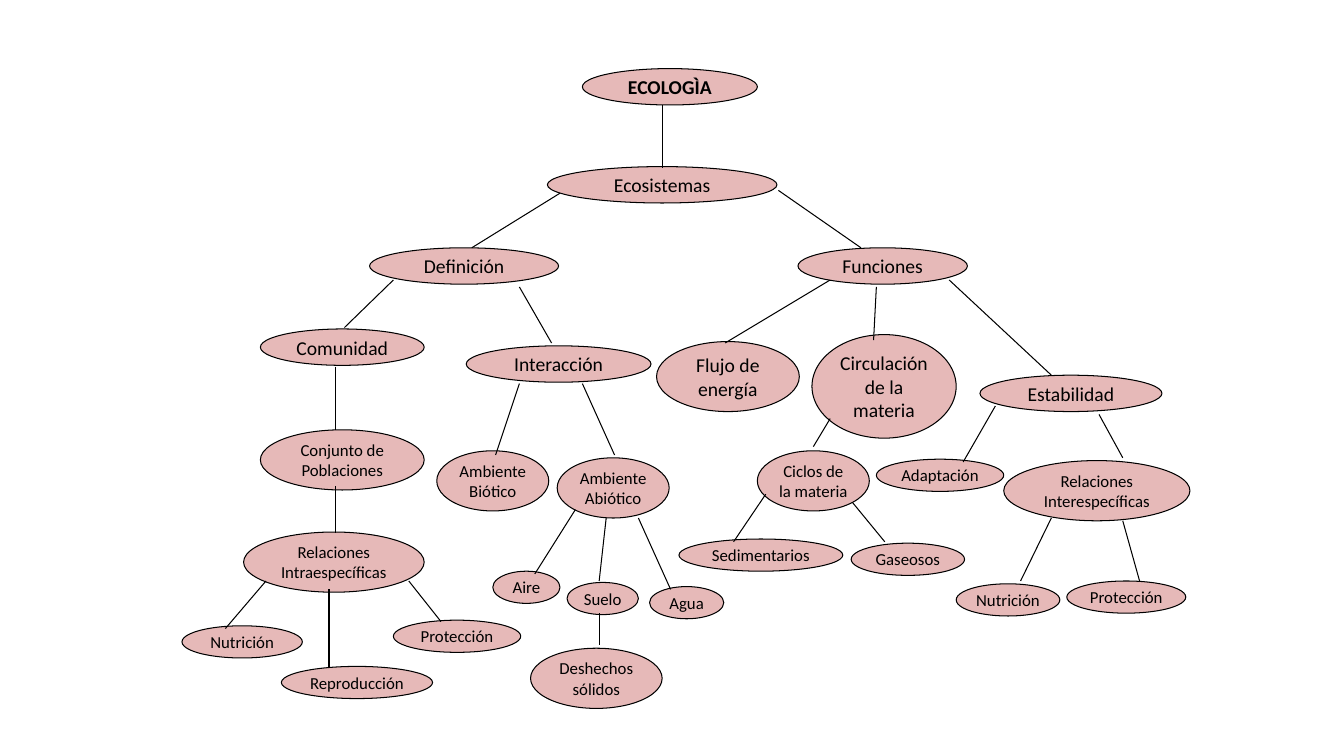
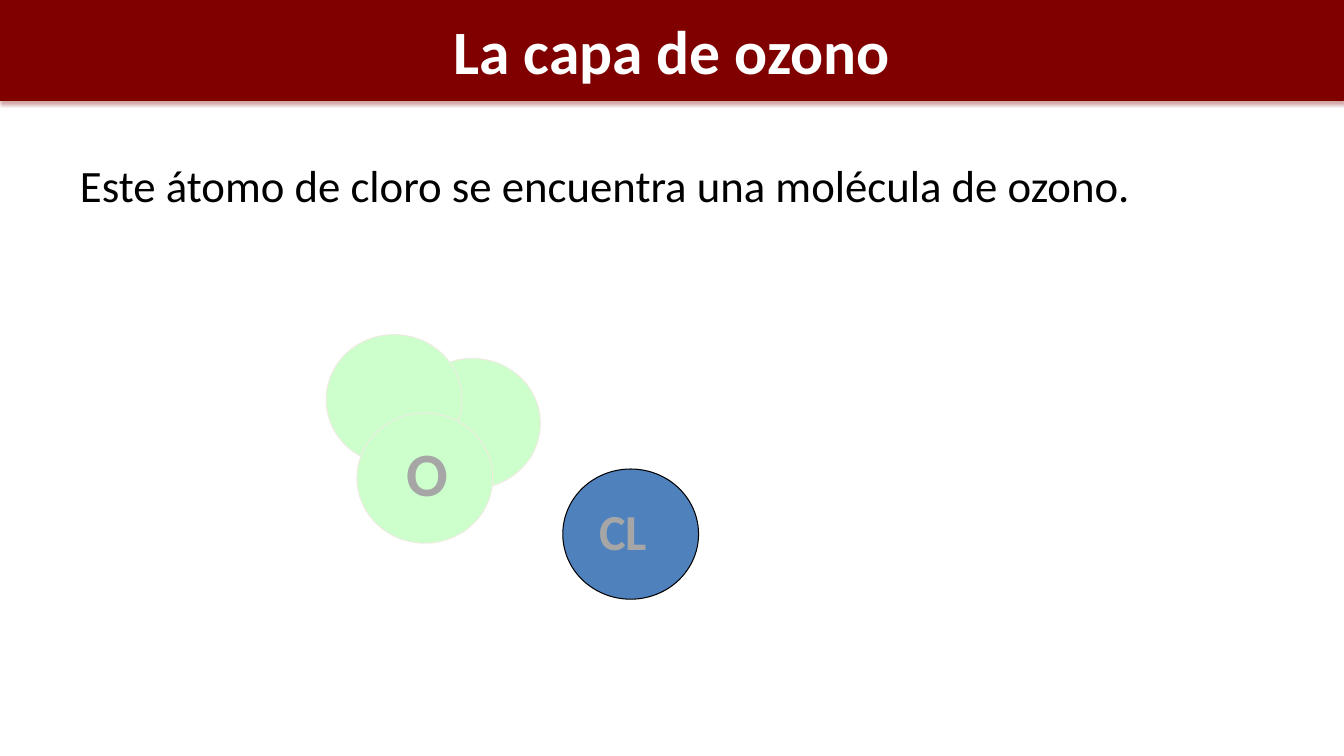
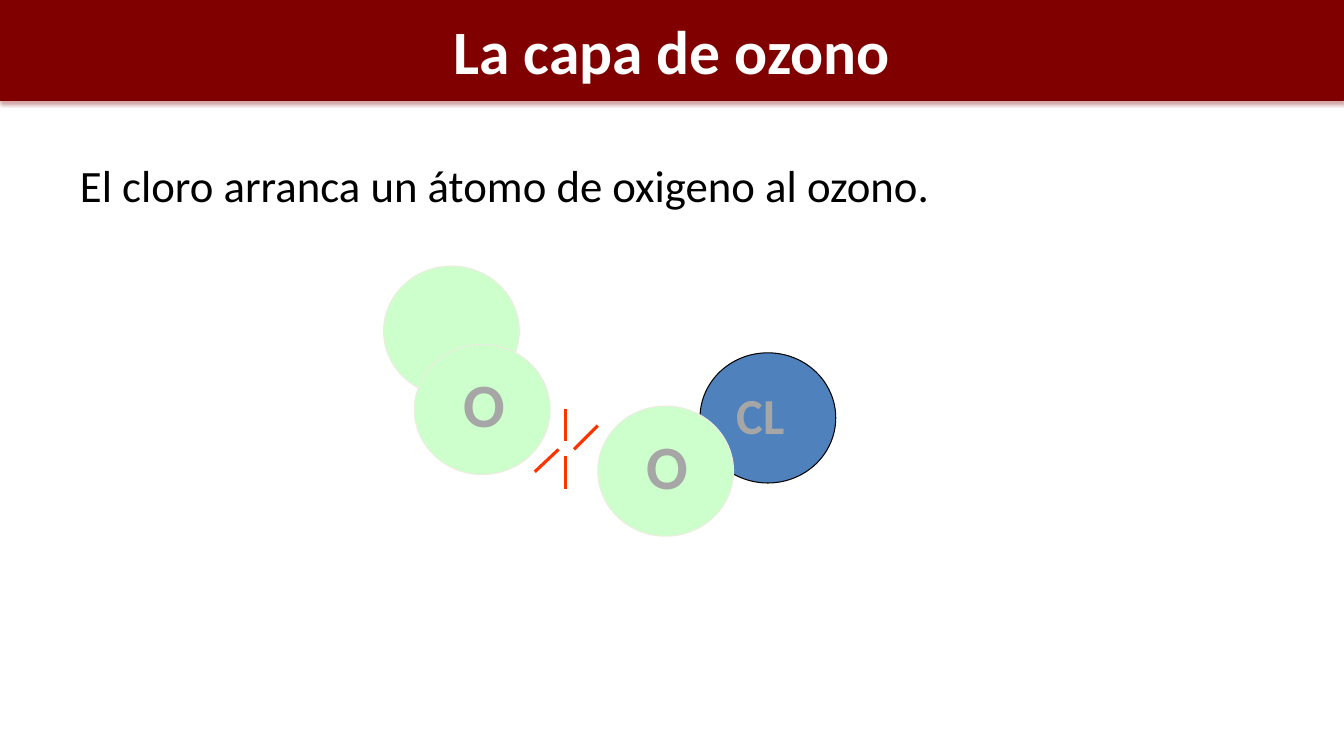
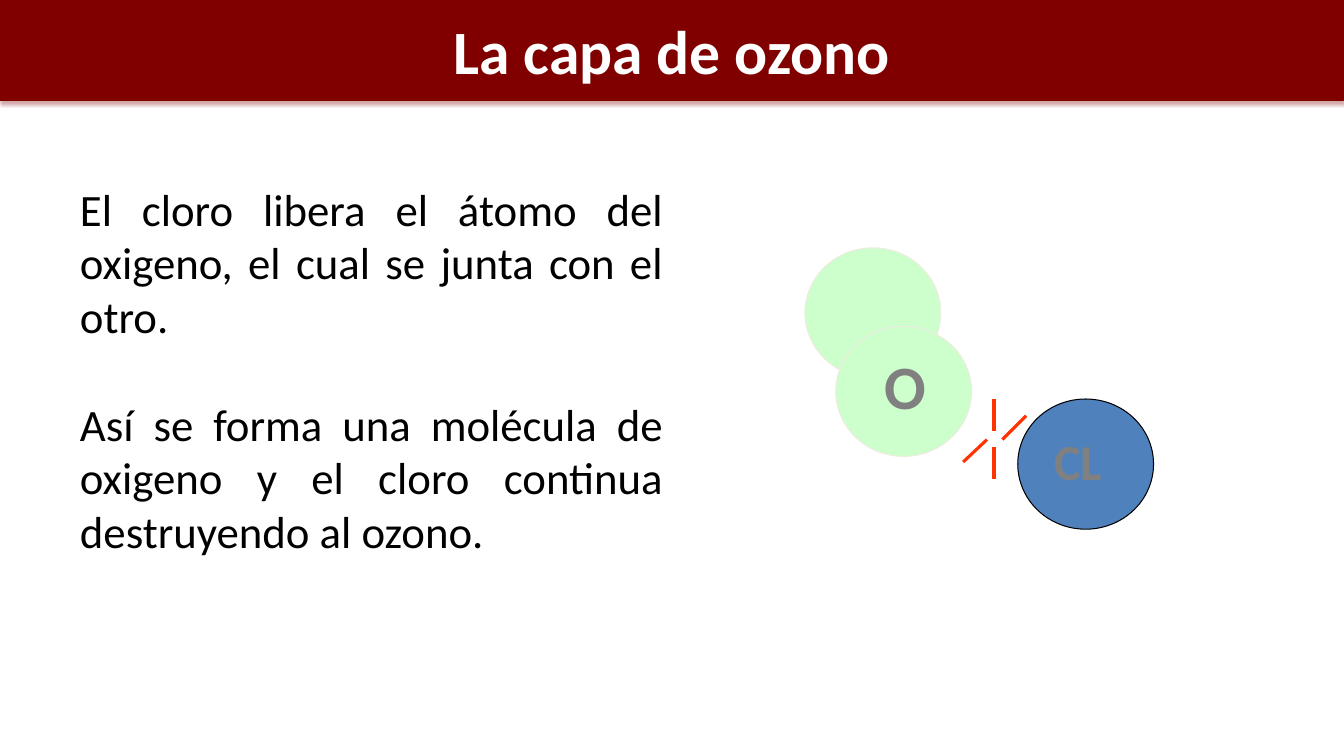
from lxml.etree import SubElement
from pptx import Presentation
from pptx.dml.color import RGBColor
from pptx.enum.shapes import MSO_CONNECTOR as Connector, MSO_SHAPE as Preset
from pptx.enum.text import MSO_ANCHOR as Anchor, PP_ALIGN as Align
from pptx.oxml.ns import qn
from pptx.util import Pt

FONT = "Calibri"
BLACK, WHITE, MAROON = "000000", "FFFFFF", "800000"
ROSE, MINT, CREAM, BLUE, RED = "E6B9B8", "CCFFCC", "EEECE1", "4F81BD", "FF3300"
LIGHT_GREY, DARK_GREY = "A6A6A6", "808080"
SLIDE_WIDTH, SLIDE_HEIGHT = 960, 540
ATOM_SIZE = (97, 93)
BODY_SIZE = 32

CONCEPTS = {
    14: [
        ("Ecosistemas", 261, 70, 164, 26),
        ("Definición", 134, 128, 135, 26),
        ("Funciones", 440, 128, 121, 26),
        ("Comunidad", 56, 186, 117, 26),
        ("Interacción", 203, 198, 132, 26),
        ("Flujo de energía", 339, 195, 102, 50),
        ("Circulación de la materia", 450, 190, 103, 74),
        ("Estabilidad", 570, 219, 130, 26),
    ],
    12: [
        ("Conjunto de Poblaciones", 56, 258, 117, 43),
        ("Relaciones Intraespecíficas", 44, 331, 129, 43),
        ("Reproducción", 71, 427, 108, 23),
        ("Nutrición", 0, 398, 86, 23),
        ("Protección", 151, 394, 91, 23),
        ("Ambiente Biótico", 182, 273, 80, 43),
        ("Ambiente Abiótico", 268, 278, 80, 43),
        ("Aire", 222, 359, 48, 23),
        ("Suelo", 275, 367, 51, 23),
        ("Agua", 334, 370, 53, 23),
        ("Deshechos sólidos", 249, 414, 94, 43),
        ("Ciclos de la materia", 411, 273, 80, 43),
        ("Gaseosos", 478, 339, 81, 23),
        ("Sedimentarios", 355, 336, 117, 23),
        ("Adaptación", 496, 279, 91, 23),
        ("Relaciones Interespecíficas", 587, 280, 133, 43),
        ("Nutrición", 553, 368, 74, 23),
        ("Protección", 632, 366, 85, 23),
    ],
}

LINKS = [
    (343, 26, 343, 71), (207, 128, 270, 89), (426, 87, 485, 128),
    (151, 151, 116, 185), (241, 156, 264, 196), (463, 151, 388, 196),
    (496, 156, 494, 194), (548, 151, 621, 219), (463, 250, 451, 270),
    (581, 241, 558, 281), (479, 310, 502, 338), (417, 304, 394, 338),
    (110, 213, 110, 258), (110, 298, 110, 332), (60, 366, 31, 400),
    (105, 372, 105, 428), (162, 366, 185, 395), (241, 225, 224, 276),
    (286, 225, 309, 276), (281, 315, 252, 361), (303, 321, 298, 366),
    (326, 321, 349, 372), (298, 389, 298, 412), (655, 247, 672, 278),
    (621, 321, 599, 366), (672, 323, 684, 366),
]


def color(hex_value):
    """Turn a hex string into a colour."""
    return RGBColor.from_string(hex_value)


def write(frame, paragraphs, size, ink, bold=False, align=Align.LEFT, gap=0):
    """Fill a text frame with paragraphs of one style, set apart by a gap."""
    frame.word_wrap = True
    for index, words in enumerate(paragraphs):
        paragraph = frame.add_paragraph() if index else frame.paragraphs[0]
        paragraph.text = words
        paragraph.alignment = align
        if index:
            paragraph.space_before = Pt(gap)
        for run in paragraph.runs:
            run.font.name = FONT
            run.font.size = Pt(size)
            run.font.bold = bold
            run.font.color.rgb = color(ink)


def add_preset(slide, preset, box, fill, outline):
    """Add a filled, outlined preset shape without a shadow."""
    shape = slide.shapes.add_shape(preset, *map(Pt, box))
    shape.shadow.inherit = False
    shape.fill.solid()
    shape.fill.fore_color.rgb = color(fill)
    shape.line.color.rgb = color(outline)
    shape.line.width = Pt(0.75)
    return shape


def add_line(slide, left, top, ends, ink, width):
    """Add a straight line whose ends are relative to left and top."""
    x1, y1, x2, y2 = ends
    points = (left + x1, top + y1, left + x2, top + y2)
    line = slide.shapes.add_connector(Connector.STRAIGHT, *map(Pt, points))
    line.line.color.rgb = color(ink)
    line.line.width = Pt(width)
    SubElement(line._element.spPr, qn("a:effectLst"))


def add_text(slide, box, paragraphs, size, ink, **style):
    """Add a wrapping text box."""
    frame = slide.shapes.add_textbox(*map(Pt, box)).text_frame
    write(frame, paragraphs, size, ink, **style)


def concept(slide, box, name, size, bold=False):
    """Draw one oval of the concept map."""
    oval = add_preset(slide, Preset.OVAL, box, ROSE, BLACK)
    frame = oval.text_frame
    frame.margin_left = frame.margin_right = Pt(1.5)
    frame.margin_top = frame.margin_bottom = Pt(0.75)
    frame.vertical_anchor = Anchor.MIDDLE
    write(frame, [name], size, BLACK, bold, Align.CENTER)


def concept_map(slide, left, top):
    """Draw the ecology map from its top left corner."""
    concept(slide, (left + 286, top, 125, 26), "ECOLOGÌA", 14, bold=True)
    for size, concepts in CONCEPTS.items():
        for name, x, y, width, height in concepts:
            concept(slide, (left + x, top + y, width, height), name, size)
    for ends in LINKS:
        add_line(slide, left, top, ends, BLACK, 0.75)


def title_band(slide, box, title):
    """Draw the title band with its soft lower shadow."""
    band = add_preset(slide, Preset.RECTANGLE, box, MAROON, MAROON)
    effects = band._element.spPr.find(qn("a:effectLst"))
    shadow = SubElement(effects, qn("a:outerShdw"), blurRad=str(Pt(3.1)),
                        dist=str(Pt(1.8)), dir="5400000", rotWithShape="0")
    tint = SubElement(shadow, qn("a:srgbClr"), val=MAROON)
    SubElement(tint, qn("a:alpha"), val="35000")
    band.text_frame.vertical_anchor = Anchor.MIDDLE
    write(band.text_frame, [title], 44, WHITE, True, Align.CENTER)


def oxygen(slide, left, top, ink=None):
    """Draw an oxygen atom, with its symbol if an ink is given."""
    add_preset(slide, Preset.OVAL, (left, top, *ATOM_SIZE), MINT, CREAM)
    if ink:
        add_text(slide, (left + 28, top + 12, 51, 60), ["O"], 44, ink, bold=True)


def chlorine(slide, left, top, ink):
    """Draw a chlorine atom with its symbol."""
    add_preset(slide, Preset.OVAL, (left, top, *ATOM_SIZE), BLUE, BLACK)
    add_text(slide, (left + 19, top + 19, 73, 51), ["CL"], 36, ink, bold=True)


def oxygen_pair(slide, left, top, ink):
    """Draw two overlapping oxygen atoms, the front one with its symbol."""
    oxygen(slide, left, top)
    oxygen(slide, left + 22, top + 56, ink)


def ozone(slide, left, top, ink):
    """Draw the three atoms of an ozone molecule."""
    oxygen(slide, left + 56, top + 17)
    oxygen_pair(slide, left, top, ink)


def broken_bond(slide, left, top):
    """Draw the four strokes of a bond that breaks."""
    strokes = [(22, 0, 22, 23), (45, 12, 28, 29), (17, 29, 0, 45), (22, 34, 22, 57)]
    for ends in strokes:
        add_line(slide, left, top, ends, RED, 2.25)


def ozone_slide(deck, text_box, paragraphs):
    """Add a slide on the ozone layer with its title band and body text."""
    slide = deck.slides.add_slide(deck.slide_layouts[6])
    title_band(slide, (0, 0, SLIDE_WIDTH, 71.5), "La capa de ozono")
    add_text(slide, text_box, paragraphs, BODY_SIZE, BLACK,
             align=Align.JUSTIFY, gap=BODY_SIZE * 1.2)
    return slide


def build():
    """Build and save the deck."""
    deck = Presentation()
    deck.slide_width, deck.slide_height = Pt(SLIDE_WIDTH), Pt(SLIDE_HEIGHT)
    concept_map(deck.slides.add_slide(deck.slide_layouts[6]), 130, 49)

    wide_text = (50, 109, 882, 85)
    meeting = ozone_slide(deck, wide_text, [
        "Este átomo de cloro se encuentra una molécula de ozono."])
    ozone(meeting, 233, 239, LIGHT_GREY)
    chlorine(meeting, 402, 335, LIGHT_GREY)

    capture = ozone_slide(deck, wide_text, [
        "El cloro arranca un átomo de oxigeno al ozono."])
    oxygen_pair(capture, 274, 190, LIGHT_GREY)
    chlorine(capture, 500, 252, LIGHT_GREY)
    oxygen(capture, 427, 290, LIGHT_GREY)
    broken_bond(capture, 382, 292)

    release = ozone_slide(deck, (50, 126, 431, 318), [
        "El cloro libera el átomo del oxigeno, el cual se junta con el otro.",
        "Así se forma una molécula de oxigeno y el cloro continua "
        "destruyendo al ozono."])
    oxygen_pair(release, 575, 177, DARK_GREY)
    chlorine(release, 727, 285, DARK_GREY)
    broken_bond(release, 688, 285)

    deck.save("out.pptx")


build()
